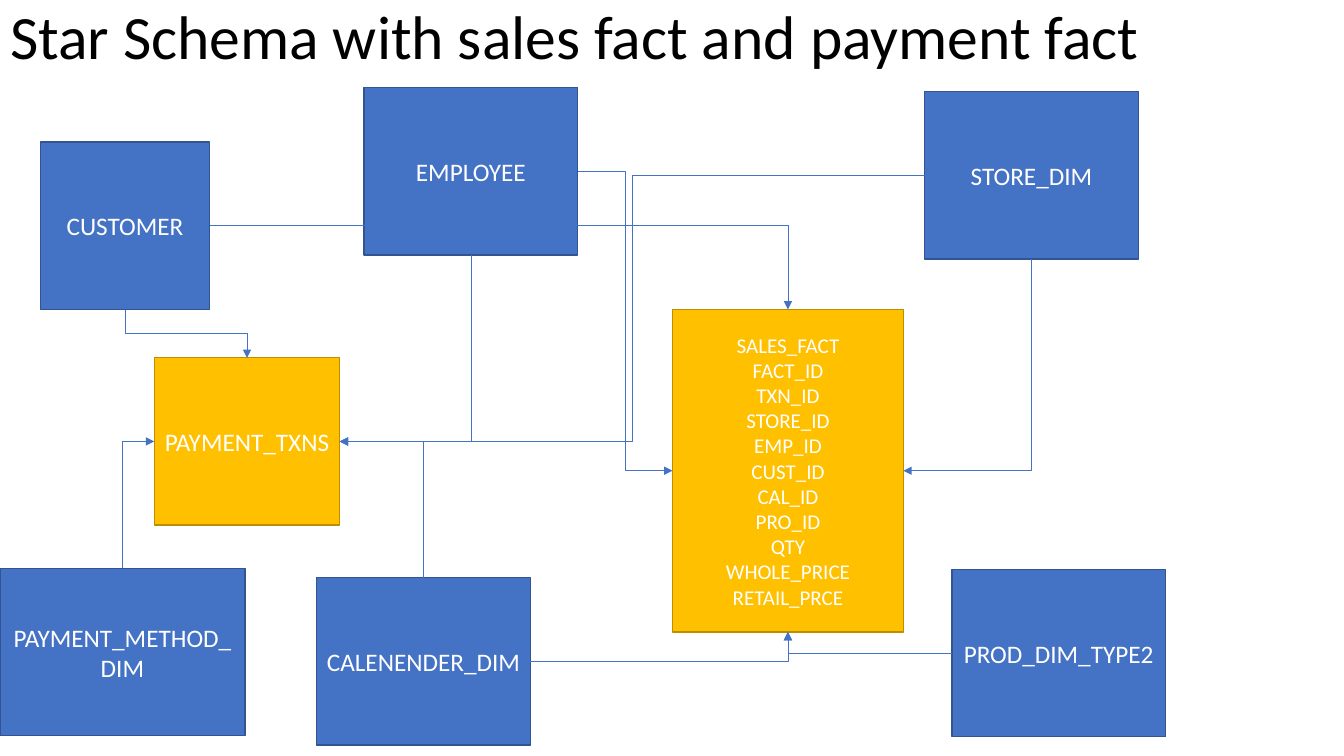
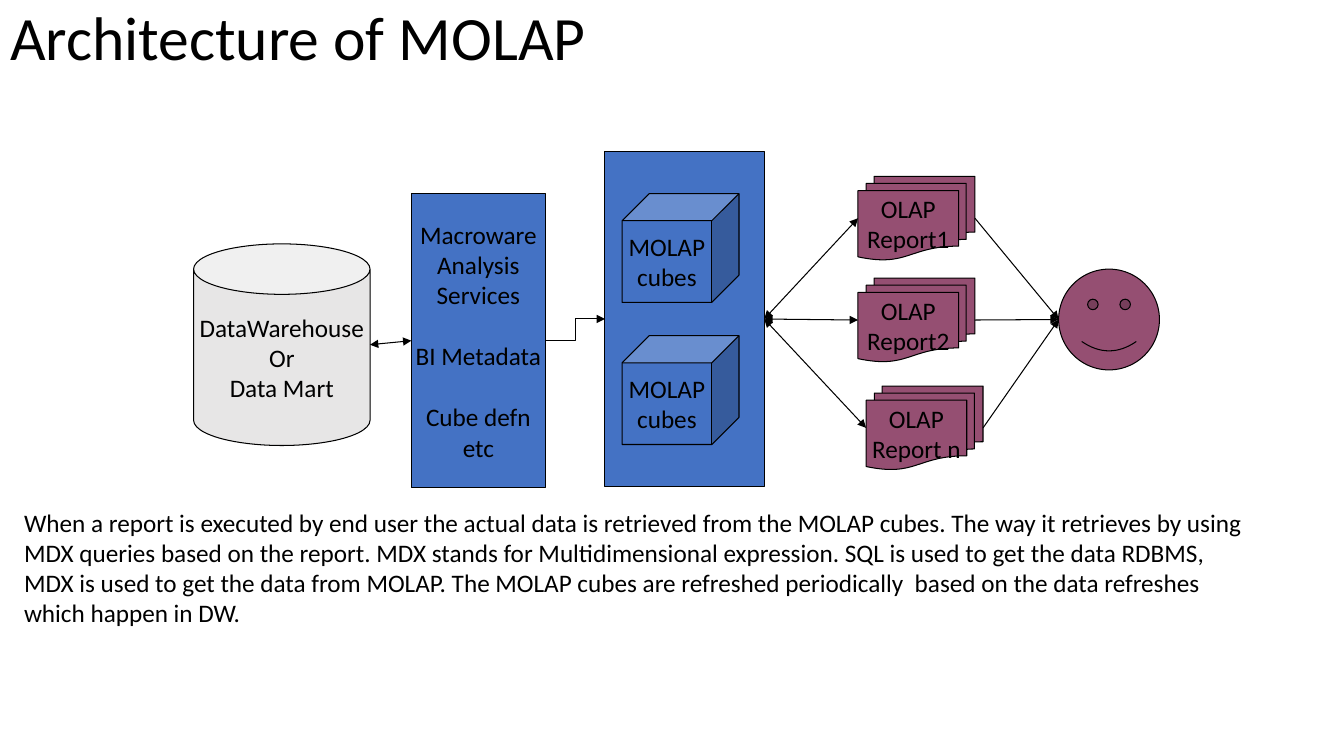
"""Build two data-warehouse slides: a star schema and the MOLAP architecture."""
import pptx
import pptx.dml.color
import pptx.enum.shapes
import pptx.enum.text
import pptx.oxml.ns
import pptx.oxml.xmlchemy
import pptx.util

FONT = "Calibri"
BLUE, GOLD, PLUM, GREY = "4472C4", "FFC000", "954F72", "E7E6E6"
BLUE_EDGE, GOLD_EDGE, BLACK, WHITE = "325491", "BD8E00", "000000", "FFFFFF"
TOP, LEFT, BOTTOM, RIGHT = range(4)
SHAPE = pptx.enum.shapes.MSO_SHAPE
CONNECTOR = pptx.enum.shapes.MSO_CONNECTOR
ALIGN = pptx.enum.text.PP_ALIGN
ANCHOR = pptx.enum.text.MSO_ANCHOR
inches = pptx.util.Inches
qn = pptx.oxml.ns.qn
new_element = pptx.oxml.xmlchemy.OxmlElement

DIMENSION_SIZE = (2.12, 1.66)
DIMENSIONS = {
    "CUSTOMER": (0.4, 1.41, 1.68, 1.66),
    "EMPLOYEE": (3.61, 0.87, *DIMENSION_SIZE),
    "STORE_DIM": (9.17, 0.91, *DIMENSION_SIZE),
    "PROD_DIM_TYPE2": (9.44, 5.65, *DIMENSION_SIZE),
    "CALENENDER_DIM": (3.14, 5.73, *DIMENSION_SIZE),
    "PAYMENT_METHOD_DIM": (0, 5.64, 2.43, 1.66),
}
FACTS = {
    "PAYMENT_TXNS": ((1.53, 3.55, 1.84, 1.66), 18, []),
    "SALES_FACT": ((6.67, 3.07, 2.29, 3.2), 15, [
        "FACT_ID", "TXN_ID", "STORE_ID", "EMP_ID", "CUST_ID", "CAL_ID",
        "PRO_ID", "QTY", "WHOLE_PRICE", "RETAIL_PRCE"]),
}
RELATIONS = [
    ("EMPLOYEE", RIGHT, "SALES_FACT", LEFT),
    ("STORE_DIM", BOTTOM, "SALES_FACT", RIGHT),
    ("CUSTOMER", RIGHT, "SALES_FACT", TOP),
    ("CUSTOMER", BOTTOM, "PAYMENT_TXNS", TOP),
    ("EMPLOYEE", BOTTOM, "PAYMENT_TXNS", RIGHT),
    ("CALENENDER_DIM", TOP, "PAYMENT_TXNS", RIGHT),
    ("PROD_DIM_TYPE2", LEFT, "SALES_FACT", BOTTOM),
    ("CALENENDER_DIM", RIGHT, "SALES_FACT", BOTTOM),
    ("PAYMENT_METHOD_DIM", TOP, "PAYMENT_TXNS", LEFT),
    ("STORE_DIM", LEFT, "PAYMENT_TXNS", RIGHT),
]

WAREHOUSE = ["DataWarehouse", "Or", "Data Mart"]
SERVICES = ["Macroware", "Analysis", "Services", "BI Metadata", "Cube defn", "etc"]
SERVICE_GROUP_STARTS = (3, 4)
CUBE = ["MOLAP", "cubes"]
CUBE_TOPS = (1.92, 3.33)
REPORTS = [("Report1", 8.51, 1.75), ("Report2", 8.51, 2.76), ("Report n", 8.59, 3.83)]
EXPLANATION = (
    "When a report is executed by end user the actual data is retrieved from the "
    "MOLAP cubes. The way it retrieves by using MDX queries based on the report. "
    "MDX stands for Multidimensional expression. SQL is used to get the data RDBMS, "
    "MDX is used to get the data from MOLAP. The MOLAP cubes are refreshed "
    "periodically  based on the data refreshes which happen in DW.")


def rgb(color):
    """Turn a hex string into a colour."""
    return pptx.dml.color.RGBColor.from_string(color)


def write(shape, lines, size=18, color=BLACK, align=ALIGN.CENTER,
          anchor=ANCHOR.MIDDLE, wrap=True, spacing=None, gaps=()):
    """Write lines as paragraphs; those numbered in gaps get a line of space before."""
    frame = shape.text_frame
    frame.word_wrap = wrap
    frame.vertical_anchor = anchor
    frame.text = "\n".join(lines)
    for number, paragraph in enumerate(frame.paragraphs):
        paragraph.alignment = align
        if spacing:
            paragraph.line_spacing = spacing
        if number in gaps:
            paragraph.space_before = pptx.util.Pt(size * 1.22)
        font = paragraph.font
        font.name, font.size = FONT, pptx.util.Pt(size)
        font.color.rgb = rgb(color)


def add_titled_slide(deck, title, box):
    """Add a title-only slide with its title placed in box."""
    slide = deck.slides.add_slide(deck.slide_layouts[5])
    heading = slide.shapes.title
    heading.left, heading.top, heading.width, heading.height = map(inches, box)
    write(heading, [title], size=44, align=ALIGN.LEFT, anchor=ANCHOR.TOP, spacing=0.9)
    heading.text_frame.auto_size = pptx.enum.text.MSO_AUTO_SIZE.NONE
    heading.text_frame.margin_top = inches(0.07)
    return slide


def add_node(slide, kind, box, fill, lines=(), edge=BLACK, edge_width=0.75, **style):
    """Add a filled preset shape with optional text."""
    node = slide.shapes.add_shape(kind, *map(inches, box))
    node.shadow.inherit = False
    node.fill.solid()
    node.fill.fore_color.rgb = rgb(fill)
    node.line.color.rgb = rgb(edge)
    node.line.width = pptx.util.Pt(edge_width)
    if lines:
        write(node, lines, **style)
    return node


def side_middle(node, side):
    """Return the middle of one side of a node."""
    across = {LEFT: 0, RIGHT: node.width}.get(side, node.width // 2)
    down = {TOP: 0, BOTTOM: node.height}.get(side, node.height // 2)
    return node.left + across, node.top + down


def bend(connector, start, end, leaves_upright, one_corner):
    """Turn and flip an elbow so that it leaves its start at a right angle."""
    dx, dy = end[0] - start[0], end[1] - start[1]
    width, height = abs(dx), abs(dy)
    flips = {"flipH": dx < 0, "flipV": dy < 0}
    if leaves_upright:
        width, height = height, width
        flips = {"flipH": dy < 0, "flipV": dx > 0}
    connector.left = (start[0] + end[0] - width) // 2
    connector.top = (start[1] + end[1] - height) // 2
    connector.width, connector.height = width, height
    properties = connector.element.spPr
    frame = properties.find(qn("a:xfrm"))
    frame.set("rot", str(90 * 60000 if leaves_upright else 0))
    for flip, on in flips.items():
        frame.set(flip, str(int(on)))
    if one_corner:
        properties.find(qn("a:prstGeom")).set("prst", "bentConnector2")


def link(slide, source, source_side, target, target_side,
         color=BLACK, width=0.75, elbow=False, both_ways=False):
    """Draw an arrow between the sides of two nodes, joined to rectangles."""
    start, end = side_middle(source, source_side), side_middle(target, target_side)
    kind = CONNECTOR.ELBOW if elbow else CONNECTOR.STRAIGHT
    connector = slide.shapes.add_connector(kind, *start, *end)
    if source.auto_shape_type == SHAPE.RECTANGLE:
        connector.begin_connect(source, source_side)
    if target.auto_shape_type == SHAPE.RECTANGLE:
        connector.end_connect(target, target_side)
    if elbow:
        upright = source_side in (TOP, BOTTOM)
        bend(connector, start, end, upright, upright != (target_side in (TOP, BOTTOM)))
    connector.line.color.rgb = rgb(color)
    connector.line.width = pptx.util.Pt(width)
    properties = connector.element.spPr
    stroke = properties.find(qn("a:ln"))
    for tip in ("a:headEnd", "a:tailEnd") if both_ways else ("a:tailEnd",):
        arrow = new_element(tip)
        arrow.set("type", "triangle")
        stroke.append(arrow)
    properties.append(new_element("a:effectLst"))


def build_star_schema(deck):
    """Build the slide of dimension and fact tables."""
    slide = add_titled_slide(deck, "Star Schema with sales fact and payment fact",
                             (0, -0.01, 13.33, 0.94))
    tables = {}
    for name, box in DIMENSIONS.items():
        tables[name] = add_node(slide, SHAPE.RECTANGLE, box, BLUE, [name],
                                edge=BLUE_EDGE, edge_width=1, color=WHITE)
    for name, (box, size, columns) in FACTS.items():
        tables[name] = add_node(slide, SHAPE.RECTANGLE, box, GOLD, [name, *columns],
                                edge=GOLD_EDGE, edge_width=1, color=WHITE, size=size)
    for source, source_side, target, target_side in RELATIONS:
        link(slide, tables[source], source_side, tables[target], target_side,
             color=BLUE, width=0.5, elbow=True)


def build_architecture(deck):
    """Build the slide of the path from warehouse to user."""
    slide = add_titled_slide(deck, "Architecture of MOLAP", (0, 0, 6.67, 0.81))
    cube_store = add_node(slide, SHAPE.RECTANGLE, (6, 1.5, 1.58, 3.33), BLUE)
    warehouse = add_node(slide, SHAPE.CAN, (1.92, 2.42, 1.75, 2), GREY,
                         WAREHOUSE, wrap=False)
    warehouse.adjustments[0] = 0.286
    services = add_node(slide, SHAPE.RECTANGLE, (4.08, 1.92, 1.33, 2.92), BLUE,
                        SERVICES, wrap=False, gaps=SERVICE_GROUP_STARTS)
    user = add_node(slide, SHAPE.SMILEY_FACE, (10.5, 2.67, 1, 1), PLUM)
    for top in CUBE_TOPS:
        add_node(slide, SHAPE.CUBE, (6.17, top, 1.16, 1.08), BLUE, CUBE, wrap=False)
    link(slide, warehouse, RIGHT, services, LEFT, both_ways=True)
    link(slide, services, RIGHT, cube_store, LEFT, elbow=True)
    for name, left, top in REPORTS:
        report = add_node(slide, SHAPE.FLOWCHART_MULTIDOCUMENT, (left, top, 1.16, 0.83),
                          PLUM, ["OLAP", name], wrap=False)
        link(slide, cube_store, RIGHT, report, LEFT, both_ways=True)
        link(slide, report, RIGHT, user, LEFT)
    explanation = slide.shapes.add_textbox(*map(inches, (0.14, 4.98, 12.3, 1.31)))
    write(explanation, [EXPLANATION], align=ALIGN.LEFT, anchor=ANCHOR.TOP)


def main():
    """Build and save the deck."""
    deck = pptx.Presentation()
    deck.slide_width, deck.slide_height = inches(13.33), inches(7.5)
    build_star_schema(deck)
    build_architecture(deck)
    deck.save("out.pptx")


if __name__ == "__main__":
    main()
